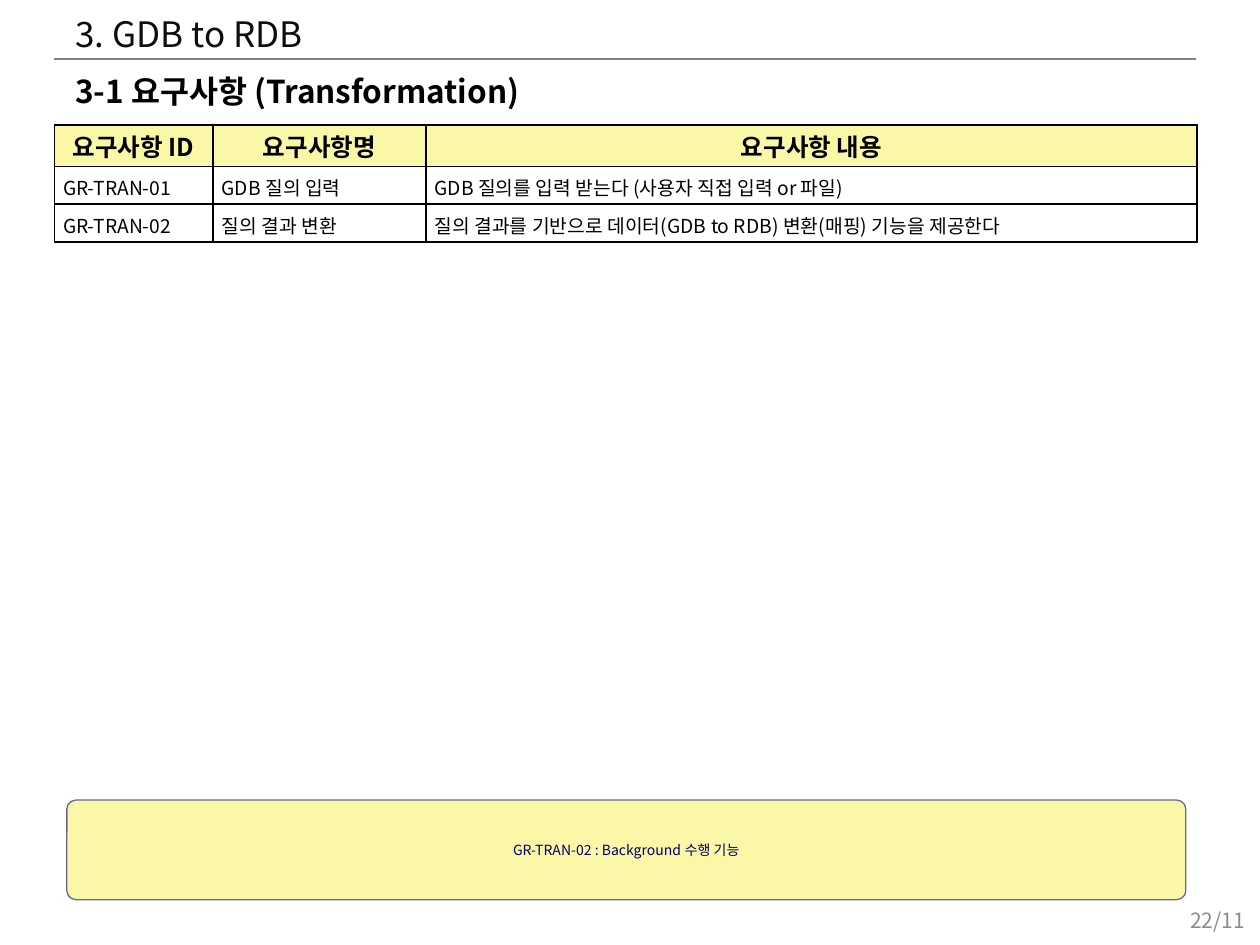
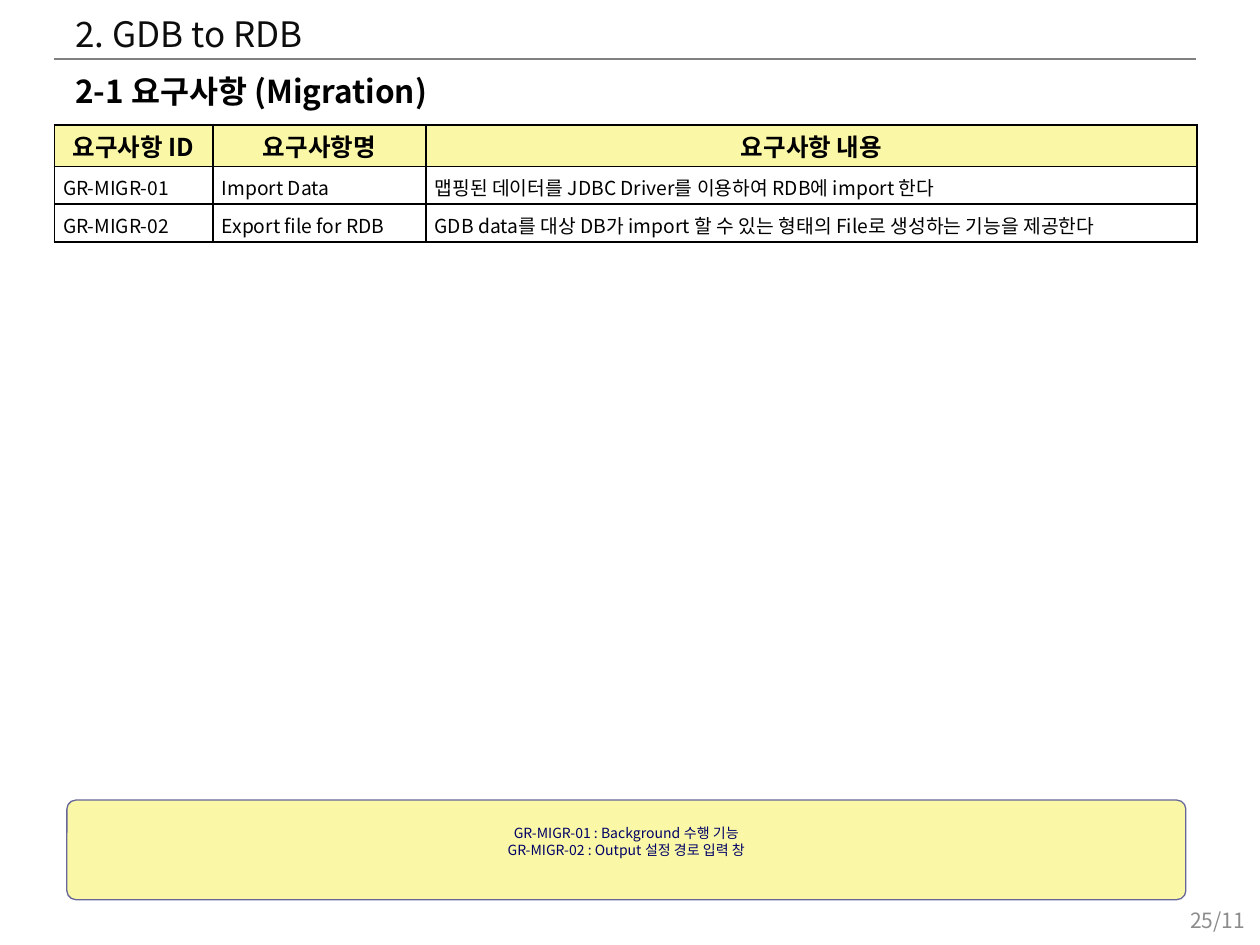
from dataclasses import dataclass

from lxml.etree import SubElement
from pptx import Presentation
from pptx.dml.color import RGBColor
from pptx.enum.shapes import MSO_CONNECTOR, MSO_SHAPE
from pptx.enum.text import MSO_ANCHOR as Anchor, PP_ALIGN as Align
from pptx.oxml.ns import qn
from pptx.slide import Slide
from pptx.table import _Cell as Cell
from pptx.util import Pt

FONT = "Noto Sans CJK KR"
BLACK = RGBColor(0x00, 0x00, 0x00)
WHITE = RGBColor(0xFF, 0xFF, 0xFF)
TITLE_INK = RGBColor(0x0D, 0x0D, 0x0D)
RULE_GRAY = RGBColor(0x80, 0x80, 0x80)
NUMBER_GRAY = RGBColor(0x8C, 0x8C, 0x8C)
PALE_YELLOW = RGBColor(0xFA, 0xF8, 0xA6)
NOTE_EDGE = RGBColor(0x66, 0x66, 0x99)
NOTE_INK = RGBColor(0x00, 0x00, 0x66)

HEADINGS = ("요구사항 ID", "요구사항명", "요구사항 내용")
COLUMN_WIDTHS = (90.7, 121.7, 440.6)
ROW_HEIGHTS = (23.8, 21.6, 21.6)


@dataclass(frozen=True)
class TextStyle:
    size: float
    color: RGBColor
    bold: bool = False
    align: Align = Align.LEFT
    anchor: Anchor = Anchor.TOP


@dataclass(frozen=True)
class CellStyle:
    text: TextStyle
    fill: RGBColor
    side_margin: float
    top_margin: float
    before: float
    after: float
    line_spacing: float


@dataclass(frozen=True)
class RequirementPage:
    title: str
    subtitle: str
    rows: tuple[tuple[str, str, str], ...]
    notes: tuple[str, ...]
    note_bottom: float
    number: str


TITLE = TextStyle(20, TITLE_INK)
SUBTITLE = TextStyle(18, BLACK, bold=True)
NUMBER = TextStyle(12, NUMBER_GRAY, align=Align.RIGHT, anchor=Anchor.MIDDLE)
NOTE = TextStyle(8, NOTE_INK, align=Align.CENTER, anchor=Anchor.MIDDLE)
HEAD_CELL = CellStyle(
    TextStyle(14, BLACK, bold=True, align=Align.CENTER),
    PALE_YELLOW, 0.7, 0.7, 2.8, 0, 1.0,
)
BODY_CELL = CellStyle(TextStyle(11, BLACK), WHITE, 5, 0, 0, 2, 1.15)

PAGES = (
    RequirementPage(
        "3. GDB to RDB",
        "3-1 요구사항 (Transformation)",
        (
            ("GR-TRAN-01", "GDB 질의 입력",
             "GDB 질의를 입력 받는다 (사용자 직접 입력 or 파일)"),
            ("GR-TRAN-02", "질의 결과 변환",
             "질의 결과를 기반으로 데이터(GDB to RDB) 변환(매핑) 기능을 제공한다"),
        ),
        ("GR-TRAN-02 : Background 수행 기능",),
        0,
        "22/11",
    ),
    RequirementPage(
        "2. GDB to RDB",
        "2-1 요구사항 (Migration)",
        (
            ("GR-MIGR-01", "Import Data",
             "맵핑된 데이터를 JDBC Driver를 이용하여 RDB에 import 한다"),
            ("GR-MIGR-02", "Export file for RDB",
             "GDB data를 대상 DB가 import 할 수 있는 형태의 File로 생성하는 기능을 제공한다"),
        ),
        ("GR-MIGR-01 : Background 수행 기능",
         "GR-MIGR-02 : Output 설정 경로 입력 창"),
        9.7,
        "25/11",
    ),
)


def write(frame, lines: tuple[str, ...], style: TextStyle) -> None:
    frame.word_wrap = True
    for index, line in enumerate(lines):
        para = frame.paragraphs[0] if index == 0 else frame.add_paragraph()
        para.alignment = style.align
        span = para.add_run()
        span.text = line
        font = span.font
        font.size = Pt(style.size)
        font.bold = style.bold
        font.color.rgb = style.color
        font.name = FONT
        SubElement(font._element, qn("a:ea")).set("typeface", FONT)


def add_text(page: Slide, left: float, top: float, width: float,
             height: float, text: str, style: TextStyle) -> None:
    box = page.shapes.add_textbox(Pt(left), Pt(top), Pt(width), Pt(height))
    box.text_frame.vertical_anchor = style.anchor
    write(box.text_frame, (text,), style)


def add_rule(page: Slide) -> None:
    rule = page.shapes.add_connector(
        MSO_CONNECTOR.STRAIGHT, Pt(31), Pt(33.8), Pt(683.3), Pt(33.8))
    rule.line.color.rgb = RULE_GRAY
    rule.line.width = Pt(1.25)
    SubElement(rule._element.spPr, qn("a:effectLst"))


def add_borders(cell: Cell) -> None:
    properties = cell._tc.get_or_add_tcPr()
    for side in ("a:lnL", "a:lnR", "a:lnT", "a:lnB"):
        edge = SubElement(properties, qn(side), w=str(Pt(1)))
        fill = SubElement(edge, qn("a:solidFill"))
        SubElement(fill, qn("a:srgbClr"), val=str(BLACK))


def fill_cell(cell: Cell, text: str, style: CellStyle) -> None:
    add_borders(cell)
    cell.fill.solid()
    cell.fill.fore_color.rgb = style.fill
    cell.vertical_anchor = Anchor.MIDDLE
    cell.margin_left = cell.margin_right = Pt(style.side_margin)
    cell.margin_top = Pt(style.top_margin)
    cell.margin_bottom = Pt(0)
    write(cell.text_frame, (text,), style.text)
    para = cell.text_frame.paragraphs[0]
    para.space_before = Pt(style.before)
    para.space_after = Pt(style.after)
    para.line_spacing = style.line_spacing


def add_requirements(page: Slide, rows: tuple[tuple[str, str, str], ...]) -> None:
    table = page.shapes.add_table(
        len(ROW_HEIGHTS), len(COLUMN_WIDTHS), Pt(31), Pt(71.3),
        Pt(sum(COLUMN_WIDTHS)), Pt(sum(ROW_HEIGHTS))).table
    table.first_row = table.horz_banding = False
    for column, width in zip(table.columns, COLUMN_WIDTHS):
        column.width = Pt(width)
    for row, height in zip(table.rows, ROW_HEIGHTS):
        row.height = Pt(height)
    for row_index, texts in enumerate((HEADINGS, *rows)):
        style = BODY_CELL if row_index else HEAD_CELL
        for column_index, text in enumerate(texts):
            fill_cell(table.cell(row_index, column_index), text, style)


def add_note(page: Slide, lines: tuple[str, ...], bottom: float) -> None:
    box = page.shapes.add_shape(
        MSO_SHAPE.ROUNDED_RECTANGLE, Pt(38.2), Pt(457.2), Pt(639.4), Pt(56.9))
    box.adjustments[0] = 0.09
    box.shadow.inherit = False
    box.fill.solid()
    box.fill.fore_color.rgb = PALE_YELLOW
    box.line.color.rgb = NOTE_EDGE
    box.line.width = Pt(0.75)
    frame = box.text_frame
    frame.margin_left = frame.margin_right = frame.margin_top = Pt(0)
    frame.margin_bottom = Pt(bottom)
    frame.vertical_anchor = NOTE.anchor
    write(frame, lines, NOTE)


def build_page(page: Slide, content: RequirementPage) -> None:
    add_rule(page)
    add_text(page, 36, 3.6, 648, 38.9, content.title, TITLE)
    add_text(page, 550.8, 511.2, 167.8, 28.8, content.number, NUMBER)
    add_text(page, 36, 37.4, 648, 28.8, content.subtitle, SUBTITLE)
    add_requirements(page, content.rows)
    add_note(page, content.notes, content.note_bottom)


def main() -> None:
    deck = Presentation()
    deck.slide_width, deck.slide_height = Pt(720), Pt(540)
    for content in PAGES:
        build_page(deck.slides.add_slide(deck.slide_layouts[6]), content)
    deck.save("out.pptx")


if __name__ == "__main__":
    main()
